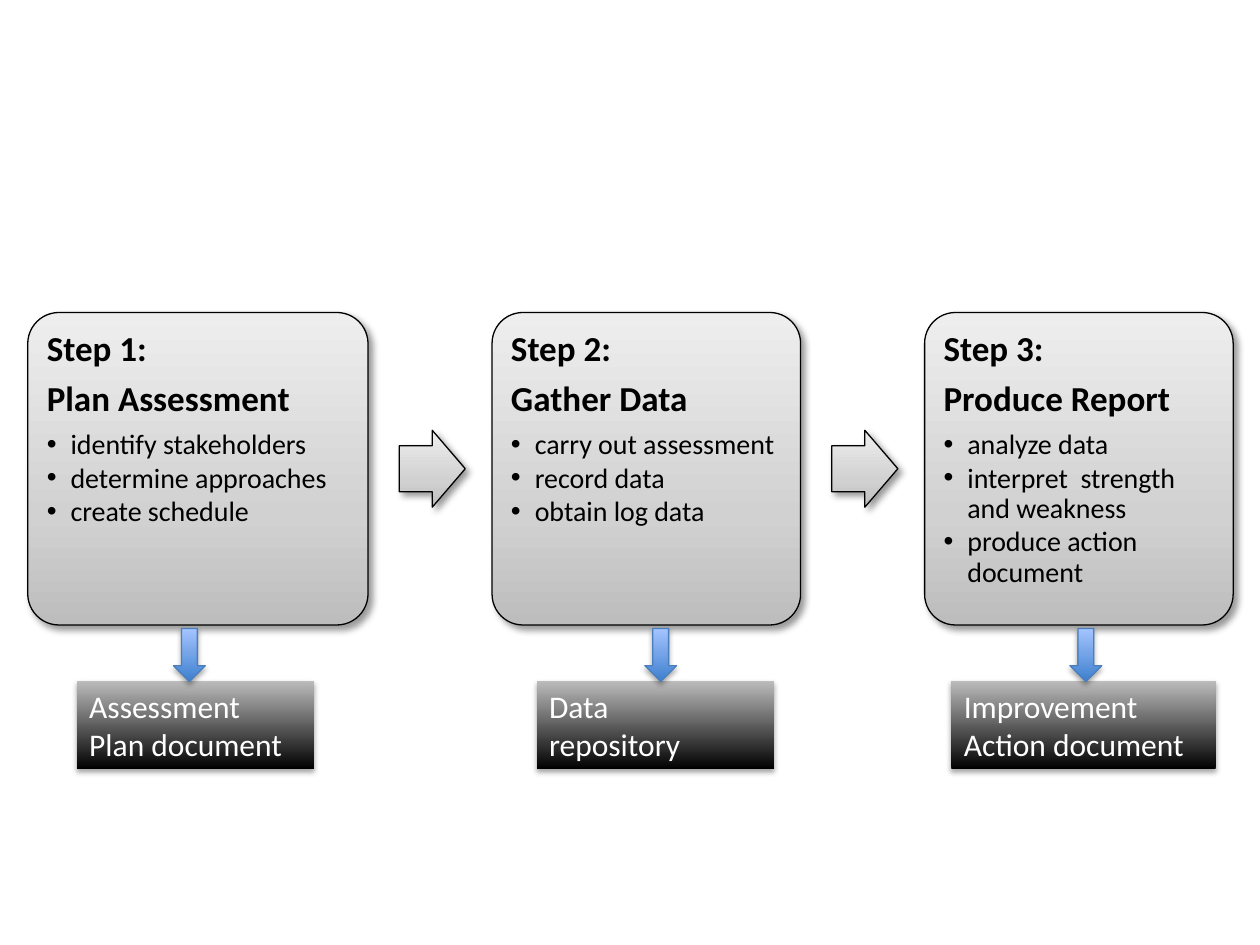
from lxml import etree
from pptx import Presentation
from pptx.dml.color import RGBColor
from pptx.enum.shapes import MSO_SHAPE
from pptx.enum.text import MSO_ANCHOR, MSO_AUTO_SIZE, PP_ALIGN
from pptx.oxml.ns import qn
from pptx.util import Cm, Pt

CARD, DOCUMENT = MSO_SHAPE.ROUNDED_RECTANGLE, MSO_SHAPE.RECTANGLE
NEXT_ARROW, DOWN_ARROW = MSO_SHAPE.RIGHT_ARROW, MSO_SHAPE.DOWN_ARROW
TOP, LEFT = MSO_ANCHOR.TOP, PP_ALIGN.LEFT
FIT_SHAPE = MSO_AUTO_SIZE.SHAPE_TO_FIT_TEXT

BLACK = RGBColor(0x00, 0x00, 0x00)
WHITE = RGBColor(0xFF, 0xFF, 0xFF)
SILVER = RGBColor(0xBD, 0xBD, 0xBD)
LIGHT_GREY = RGBColor(0xD1, 0xD1, 0xD1)
PALE_GREY = RGBColor(0xEE, 0xEE, 0xEE)
BLUE = RGBColor(0x3F, 0x80, 0xCE)
PALE_BLUE = RGBColor(0xA4, 0xC4, 0xFF)
BLUE_EDGE = RGBColor(0x4B, 0x7E, 0xBC)

GREY_FADE = [(0, SILVER), (35, LIGHT_GREY), (100, PALE_GREY)]
BLACK_FADE = [(0, BLACK), (100, SILVER)]
BLUE_FADE = [(0, BLUE), (100, PALE_BLUE)]
DEEP_SHADOW = dict(alpha=40, blur=4, distance=3, angle=45)
SOFT_SHADOW = dict(alpha=35, blur=3.1, distance=1.8, angle=90)

FONT = "Calibri"
CARD_TOP, CARD_HEIGHT, CARD_GAP, FIRST_LEFT = 6.3, 6.3, 2.5, 0.56
ARROW_OFFSET, ARROW_WIDTH, ARROW_HEIGHT = 0.63, 1.33, 1.55
DOWN_TOP, DOWN_WIDTH, DOWN_HEIGHT = 12.67, 0.64, 1.07
DOCUMENT_TOP, DOCUMENT_HEIGHT = 13.72, 1.79

STEPS = [
    dict(heading=["Step 1:", "Plan Assessment"],
         tasks=["identify stakeholders", "determine approaches", "create schedule"],
         width=6.86, document=["Assessment Plan document"],
         document_left=1.55, document_width=4.78, down_left=3.5),
    dict(heading=["Step 2:", "Gather Data"],
         tasks=["carry out assessment", "record data", "obtain log data"],
         width=6.22, document=["Data", "repository"],
         document_left=10.82, document_width=4.78, down_left=13),
    dict(heading=["Step 3:", "Produce Report"],
         tasks=["analyze data", "interpret  strength and weakness",
                "produce action document"],
         width=6.22, document=["Improvement Action document"],
         document_left=19.18, document_width=5.33, down_left=21.57),
]


def add_colour(parent, colour):
    return etree.SubElement(parent, qn("a:srgbClr"), val=str(colour))


def add_block(page, kind, left, top, width, height, fade, shadow, edge=None):
    shape = page.shapes.add_shape(kind, Cm(left), Cm(top), Cm(width), Cm(height))
    shape.fill.gradient()
    shape.fill.gradient_angle = 90
    properties = shape.element.spPr
    stops = properties.find(".//" + qn("a:gsLst"))
    for stop in list(stops):
        stops.remove(stop)
    for position, colour in fade:
        stop = etree.SubElement(stops, qn("a:gs"), pos=str(position * 1000))
        add_colour(stop, colour)
    if edge is None:
        shape.line.fill.background()
    else:
        shape.line.color.rgb = edge
        shape.line.width = Pt(0.75)
    shape.shadow.inherit = False
    outer = etree.SubElement(
        properties.find(qn("a:effectLst")), qn("a:outerShdw"),
        blurRad=str(Pt(shadow["blur"])), dist=str(Pt(shadow["distance"])),
        dir=str(shadow["angle"] * 60000), algn="tl", rotWithShape="0")
    etree.SubElement(add_colour(outer, BLACK), qn("a:alpha"),
                     val=str(shadow["alpha"] * 1000))
    return shape


def add_lines(frame, lines, size, colour, bold=False):
    paras = []
    for line in lines:
        first = frame.paragraphs[0]
        para = frame.add_paragraph() if first.runs else first
        para.alignment = LEFT
        span = para.add_run()
        span.text = line
        span.font.name = FONT
        span.font.size = Pt(size)
        span.font.bold = bold
        span.font.color.rgb = colour
        paras.append(para)
    return paras


def set_spacing(paras, after):
    for para in paras:
        para.line_spacing = 0.9
        para.space_after = Pt(after)


def add_bullet(para):
    para.level = 1
    properties = para._p.get_or_add_pPr()
    properties.set("marL", str(Cm(0.48)))
    properties.set("indent", str(-Cm(0.48)))
    etree.SubElement(properties, qn("a:buFont"), typeface="Arial")
    etree.SubElement(properties, qn("a:buChar"), char="•")


def add_card(page, step, left):
    card = add_block(page, CARD, left, CARD_TOP, step["width"], CARD_HEIGHT,
                     GREY_FADE, DEEP_SHADOW, BLACK)
    card.adjustments[0] = 0.1
    frame = card.text_frame
    frame.word_wrap = True
    frame.vertical_anchor = TOP
    frame.margin_left = frame.margin_right = Cm(0.2)
    frame.margin_top = frame.margin_bottom = Cm(0.2)
    set_spacing(add_lines(frame, step["heading"], 20, BLACK, True), 6.6)
    tasks = add_lines(frame, step["tasks"], 16, BLACK)
    set_spacing(tasks, 2)
    for para in tasks:
        add_bullet(para)


def add_document(page, step):
    box = add_block(page, DOCUMENT, step["document_left"], DOCUMENT_TOP,
                    step["document_width"], DOCUMENT_HEIGHT, BLACK_FADE, SOFT_SHADOW)
    frame = box.text_frame
    frame.word_wrap = True
    frame.auto_size = FIT_SHAPE
    frame.vertical_anchor = TOP
    add_lines(frame, step["document"], 18, WHITE)


deck = Presentation()
deck.slide_width, deck.slide_height = Cm(25.4), Cm(19.05)
page = deck.slides.add_slide(deck.slide_layouts[6])

left = FIRST_LEFT
for step in STEPS:
    add_card(page, step, left)
    right = left + step["width"]
    if step is not STEPS[-1]:
        arrow = add_block(page, NEXT_ARROW, right + ARROW_OFFSET,
                          CARD_TOP + (CARD_HEIGHT - ARROW_HEIGHT) / 2,
                          ARROW_WIDTH, ARROW_HEIGHT, GREY_FADE, DEEP_SHADOW, BLACK)
        arrow.adjustments[0] = 0.6
    left = right + CARD_GAP

for step in STEPS:
    add_document(page, step)
for step in STEPS:
    add_block(page, DOWN_ARROW, step["down_left"], DOWN_TOP, DOWN_WIDTH, DOWN_HEIGHT,
              BLUE_FADE, SOFT_SHADOW, BLUE_EDGE)

deck.save("out.pptx")
